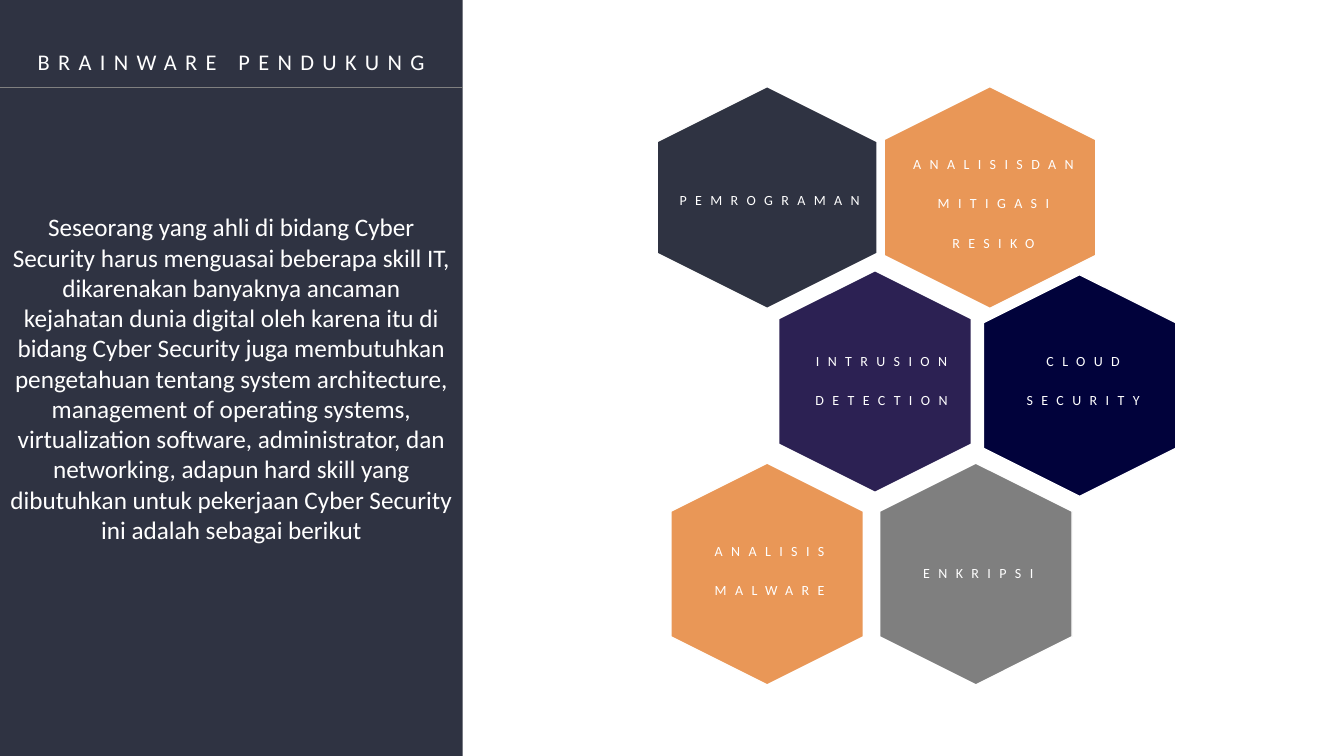
from dataclasses import dataclass

from lxml.etree import SubElement
from pptx import Presentation
from pptx.dml.color import RGBColor
from pptx.enum.shapes import MSO_CONNECTOR, MSO_SHAPE
from pptx.enum.text import MSO_ANCHOR, PP_ALIGN
from pptx.oxml.ns import qn
from pptx.util import Inches, Length, Pt


@dataclass(frozen=True)
class Theme:
    font: str = "Calibri"
    white: str = "FFFFFF"
    slate: str = "2F3342"
    plum: str = "2C2153"
    navy: str = "01023B"
    amber: str = "E99757"
    gray: str = "7F7F7F"
    rule: str = "808080"
    label: int = 10
    title: int = 16
    body: int = 18
    track: int = 6


@dataclass(frozen=True)
class Skill:
    """Centre and breadth of a hexagon, centre of its label, in grid units."""
    x: float
    y: float
    wide: float
    tx: float
    ty: float
    fill: str
    lines: tuple[str, ...]


THEME = Theme()
COLS, ROWS = 133.33, 75  # grid of tenths of an inch
PANEL = 45.9
TALL = 22
LABEL = 26.5
LINE = 4.5

SKILLS = (
    Skill(98.2, 19.6, 21, 98.55, 19.75, THEME.amber, ("ANALISISDAN", "MITIGASI", "RESIKO")),
    Skill(76.1, 19.6, 21.8, 76.35, 19.45, THEME.slate, ("PEMROGRAMAN",)),
    Skill(86.8, 37.85, 19.1, 87.45, 37.35, THEME.plum, ("INTRUSION", "DETECTION")),
    Skill(107.1, 38.25, 19.1, 107.45, 37.35, THEME.navy, ("CLOUD", "SECURITY")),
    Skill(96.8, 56.95, 19.1, 97.05, 56.45, THEME.gray, ("ENKRIPSI",)),
    Skill(76.1, 56.95, 19.1, 76.35, 56.15, THEME.amber, ("ANALISIS", "MALWARE")),
)

BODY = (
    "Seseorang yang ahli di bidang Cyber Security harus menguasai beberapa skill IT, "
    "dikarenakan banyaknya ancaman kejahatan dunia digital oleh karena itu di bidang "
    "Cyber Security juga membutuhkan pengetahuan tentang system architecture, "
    "management of operating systems, virtualization software, administrator, dan "
    "networking, adapun hard skill yang dibutuhkan untuk pekerjaan Cyber Security "
    "ini adalah sebagai berikut"
)


def grid(*units: float) -> list[Length]:
    return [Inches(unit / 10) for unit in units]


def color(code: str) -> RGBColor:
    return RGBColor.from_string(code)


def style(font, size: int, code: str) -> None:
    font.name = THEME.font
    font.size = Pt(size)
    font.color.rgb = color(code)


def block(shapes, kind, x: float, y: float, wide: float, tall: float, fill: str):
    shape = shapes.add_shape(kind, *grid(x, y, wide, tall))
    shape.shadow.inherit = False
    shape.fill.solid()
    shape.fill.fore_color.rgb = color(fill)
    shape.line.fill.background()
    return shape


def spaced(shapes, x: float, y: float, wide: float, lines: tuple[str, ...], size: int) -> None:
    """Letterspaced lines centred on a point."""
    box = shapes.add_textbox(*grid(x - wide / 2, y - LINE / 2, wide, LINE))
    frame = box.text_frame
    frame.word_wrap = True
    frame.vertical_anchor = MSO_ANCHOR.MIDDLE
    frame.margin_left = frame.margin_right = 0
    frame.text = "\n".join(lines)
    for i, para in enumerate(frame.paragraphs):
        para.alignment = PP_ALIGN.CENTER
        para.line_spacing = 1.5
        para.space_before = Pt(10 if i else 0)
        style(para.font, size, THEME.white)
        para._p.pPr.find(qn("a:defRPr")).set("spc", str(THEME.track * 100))


def panel(shapes) -> None:
    side = block(shapes, MSO_SHAPE.RECTANGLE, 0, 0, PANEL, ROWS, THEME.slate)
    frame = side.text_frame
    frame.word_wrap = True
    frame.vertical_anchor = MSO_ANCHOR.MIDDLE
    frame.text = BODY
    para = frame.paragraphs[0]
    para.alignment = PP_ALIGN.CENTER
    style(para.font, THEME.body, THEME.white)

    spaced(shapes, PANEL / 2, 5.4, 54.5, ("BRAINWARE PENDUKUNG",), THEME.title)

    rule = shapes.add_connector(MSO_CONNECTOR.STRAIGHT, *grid(0, 8.7, PANEL, 8.7))
    rule.line.color.rgb = color(THEME.rule)
    rule.line.width = Pt(0.5)
    SubElement(rule._element.spPr, qn("a:effectLst"))


def hexagon(shapes, skill: Skill) -> None:
    left, top = skill.x - TALL / 2, skill.y - skill.wide / 2
    shape = block(shapes, MSO_SHAPE.HEXAGON, left, top, TALL, skill.wide, skill.fill)
    shape.rotation = 90
    shape.line.color.rgb = color(THEME.white)
    shape.line.width = Pt(1)


def main() -> None:
    deck = Presentation()
    deck.slide_width, deck.slide_height = grid(COLS, ROWS)
    shapes = deck.slides.add_slide(deck.slide_layouts[6]).shapes

    # Side panel
    panel(shapes)

    # Honeycomb of skills, labels on top
    for skill in SKILLS:
        hexagon(shapes, skill)
    for skill in SKILLS:
        spaced(shapes, skill.tx, skill.ty, LABEL, skill.lines, THEME.label)

    deck.save("out.pptx")


if __name__ == "__main__":
    main()
